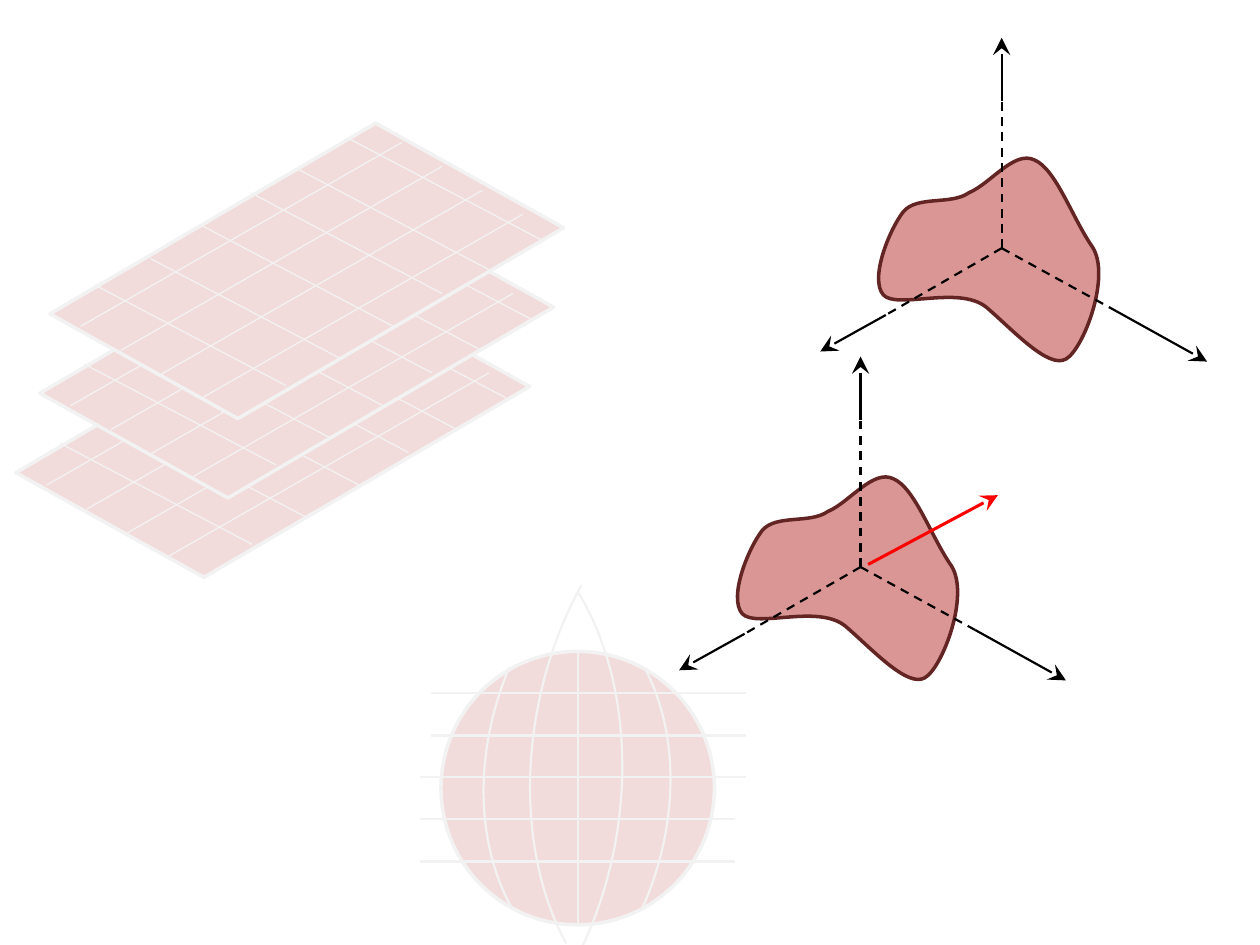
from pptx import Presentation
from pptx.dml.color import RGBColor
from pptx.enum.dml import MSO_LINE
from pptx.enum.shapes import MSO_CONNECTOR, MSO_SHAPE
from pptx.oxml.xmlchemy import OxmlElement
from pptx.util import Cm, Pt

PALE, GRID = "F2DCDB", "F2F2F2"
ROSE, MAROON = "D99694", "632523"
BLACK, RED = "000000", "FF0000"

# Start point, then groups of three curve points, relative to the axis origin
BODY_OUTLINE = [
    (-0.26, -0.44),
    (-0.40, -0.34), (-0.67, -0.42), (-0.78, -0.29),
    (-0.89, -0.15), (-1.05, 0.24), (-0.94, 0.37),
    (-0.83, 0.49), (-0.34, 0.29), (-0.12, 0.47),
    (0.09, 0.65), (0.37, 0.96), (0.51, 0.88),
    (0.65, 0.80), (0.87, 0.22), (0.72, -0.01),
    (0.56, -0.24), (0.43, -0.63), (0.26, -0.70),
    (0.10, -0.78), (-0.09, -0.51), (-0.26, -0.44),
]
# Where each axis leaves the body, and its tip
AXES = [((0, -1.17), (0, -1.67)), ((0.91, 0.5), (1.63, 0.9)), ((-0.92, 0.53), (-1.44, 0.82))]


def length(inches):
    return Cm(inches * 2.54)


def color(value):
    return RGBColor.from_string(value)


def style(shape, fill, line, width):
    shape.shadow.inherit = False
    if fill:
        shape.fill.solid()
        shape.fill.fore_color.rgb = color(fill)
    else:
        shape.fill.background()
    shape.line.color.rgb = color(line)
    shape.line.width = Pt(width)


def add_preset(shapes, kind, box, fill, width, rotation=0, adjustments=()):
    shape = shapes.add_shape(kind, *map(length, box))
    shape.rotation = rotation
    for index, value in enumerate(adjustments):
        shape.adjustments[index] = value
    style(shape, fill, GRID, width)


def add_line(shapes, start, end, line, width, dashed=False, arrow=False):
    connector = shapes.add_connector(MSO_CONNECTOR.STRAIGHT, *map(length, (*start, *end)))
    connector.line.color.rgb = color(line)
    connector.line.width = Pt(width)
    if dashed:
        connector.line.dash_style = MSO_LINE.DASH
    if arrow:
        head = OxmlElement("a:tailEnd")
        for name, value in (("type", "stealth"), ("w", "lg"), ("len", "lg")):
            head.set(name, value)
        connector.element.xpath(".//a:ln")[0].append(head)
    connector.element.xpath("./p:spPr")[0].append(OxmlElement("a:effectLst"))


def add_curve(shapes, points):
    """Closed outline whose points after the first are cubic curve triples."""
    start, *rest = [(length(x), length(y)) for x, y in points]
    builder = shapes.build_freeform(*start)
    builder.add_line_segments(rest, close=True)
    shape = builder.convert_to_shape()
    segments = shape.element.xpath(".//a:lnTo")
    for first in range(0, len(rest), 3):
        curve = OxmlElement("a:cubicBezTo")
        segments[first].addprevious(curve)
        for segment in segments[first:first + 3]:
            curve.append(segment[0])
            segment.getparent().remove(segment)
    return shape


def add_body_with_axes(shapes, left, top):
    """Curved body around the axis origin at left, top."""
    def place(point):
        return left + point[0], top + point[1]

    body = add_curve(shapes, [place(point) for point in BODY_OUTLINE])
    style(body, ROSE, MAROON, 2)
    for exit_point, tip in AXES:
        add_line(shapes, place(exit_point), place(tip), BLACK, 1.25, arrow=True)
    for exit_point, _ in AXES:
        add_line(shapes, (left, top), place(exit_point), BLACK, 1.25, dashed=True)


def add_globe(shapes, left, top, size):
    add_preset(shapes, MSO_SHAPE.OVAL, (left, top, size, size), PALE, 2)
    outer, inner = (176.82, 0), (179.12, 21.58)
    meridians = [
        (0.42, -1.31, 4.08, 202.8, outer), (-1.38, -0.63, 4.08, 24.2, outer),
        (0.74, -1.58, 4.63, 190.9, inner), (-1.69, -1.14, 4.63, 8.2, inner),
    ]
    for x, y, height, rotation, angles in meridians:
        add_preset(shapes, MSO_SHAPE.ARC, (left + x, top + y, 3.11, height),
                   None, 1.25, rotation, angles)
    middle = left + size / 2
    add_line(shapes, (middle, top), (middle, top + size), GRID, 1.25)
    for shift, rows in ((-0.08, (1, 2, 3)), (-0.17, (3, 4, 5))):
        for row in rows:
            y = top + row / 3
            add_line(shapes, (left + shift, y), (left + shift + 2.5, y), GRID, 1.25)


def add_sheet(shapes, left, top):
    """Tilted sheet with six cross lines and four long lines."""
    sheet = shapes.add_group_shape().shapes
    add_preset(sheet, MSO_SHAPE.PARALLELOGRAM, (left, top, 3.23, 2.58), PALE, 2, 29.1, [0.59])
    cross = [(-0.07, 1.40), (0.37, 1.19), (0.78, 0.93), (1.17, 0.67), (1.54, 0.48), (1.95, 0.24)]
    along = [(-0.18 + 0.32 * step, 1.73 + 0.19 * step) for step in range(4)]
    for starts, run, rise in ((cross, 1.52, 0.8), (along, 2.55, -1.46)):
        for x, y in starts:
            start = left + x, top + y
            add_line(sheet, start, (start[0] + run, start[1] + rise), GRID, 0.75)


def main():
    deck = Presentation()
    deck.slide_width, deck.slide_height = length(10), length(7.5)
    page = deck.slides.add_slide(deck.slide_layouts[6])
    shapes = page.shapes
    add_body_with_axes(shapes, 6.83, 4.5)
    add_globe(shapes, 3.5, 5.17, 2.17)
    for level, left in enumerate((0.55, 0.74, 0.82)):
        add_sheet(shapes, left, 2.12 - 0.63 * level)
    add_line(shapes, (6.89, 4.48), (7.92, 3.93), RED, 1.75, arrow=True)
    add_body_with_axes(shapes, 7.95, 1.97)
    deck.save("out.pptx")


if __name__ == "__main__":
    main()
